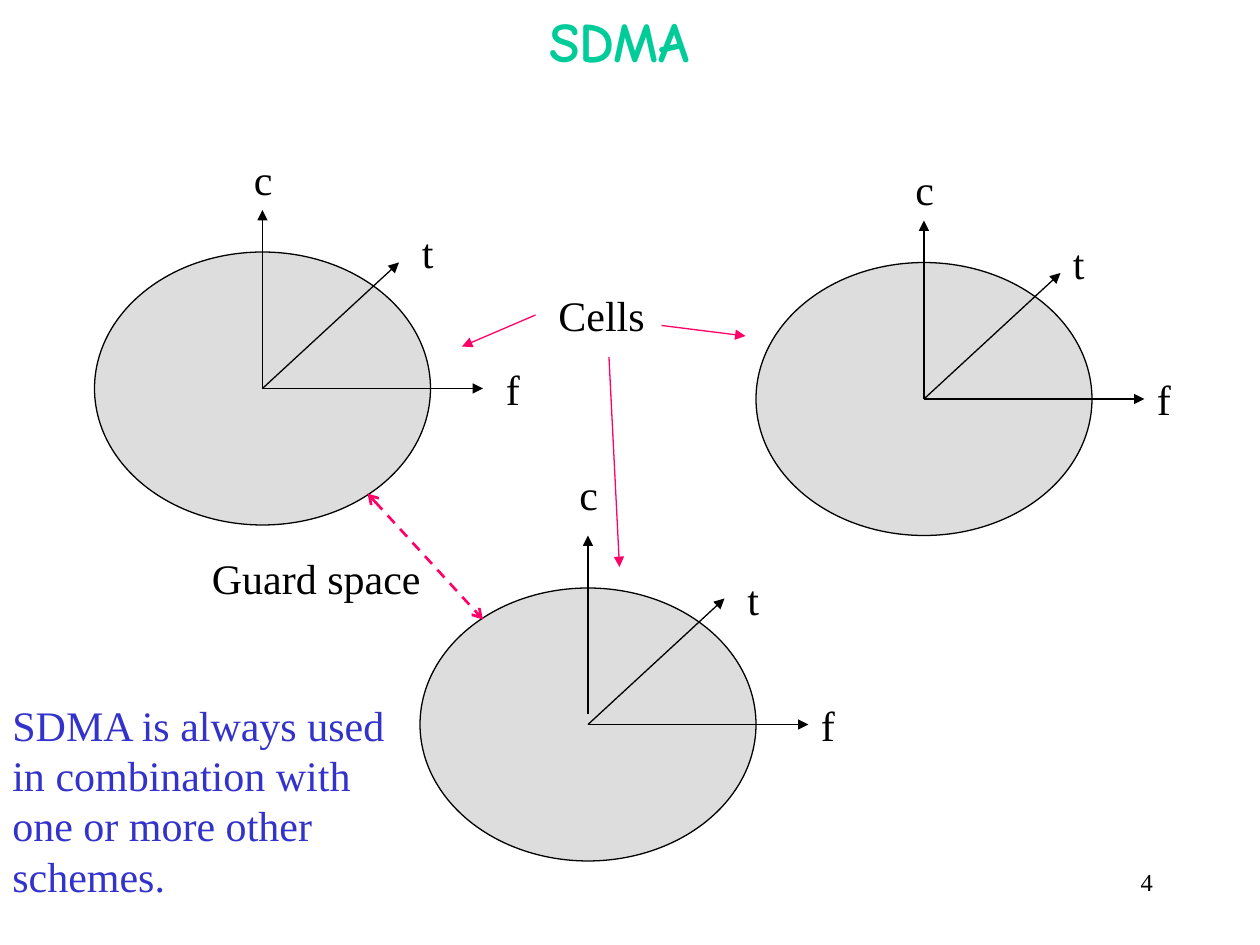
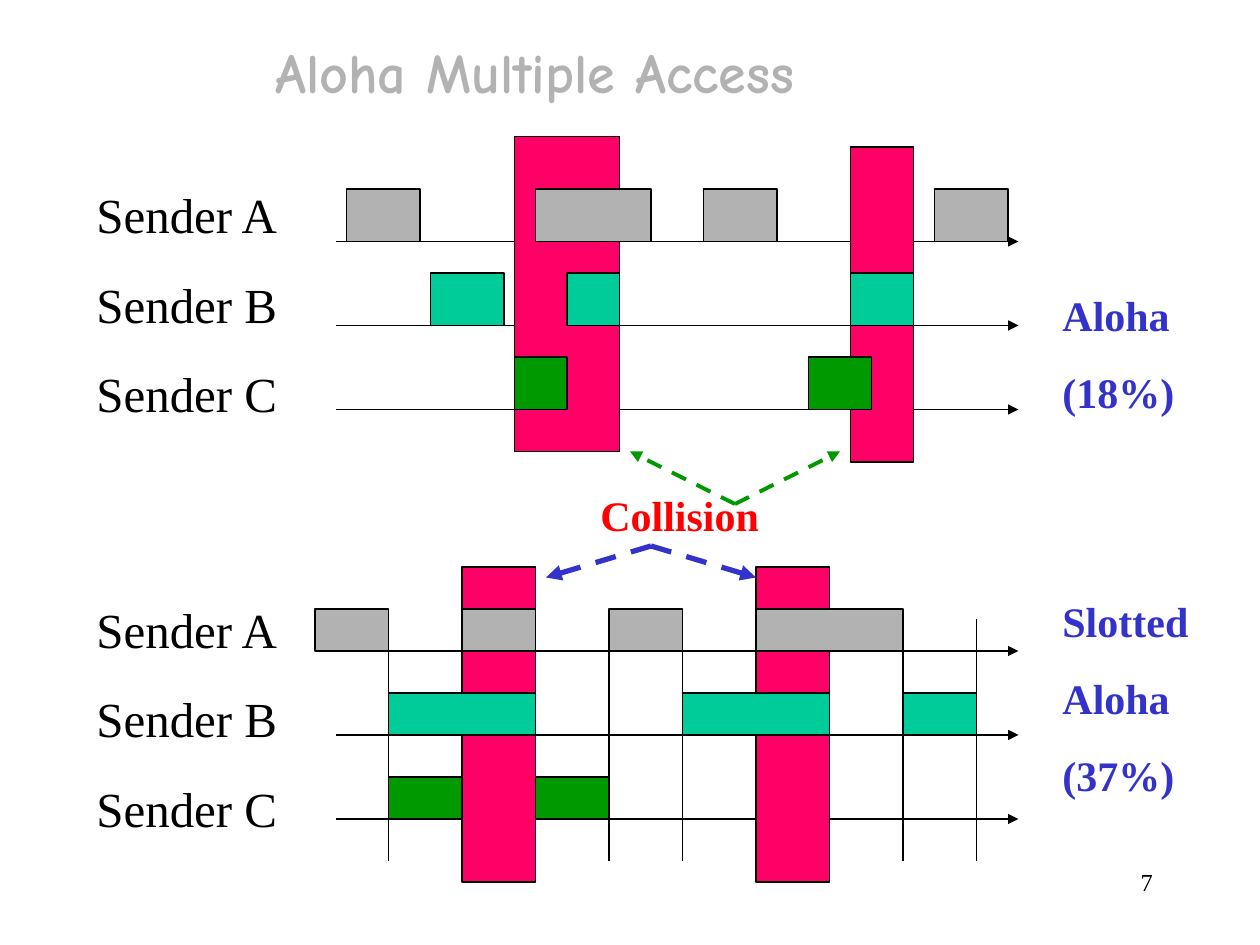
"""Builds two slides on multiple access: SDMA cells, and Aloha against slotted Aloha."""
from pptx import Presentation
from pptx.dml.color import RGBColor
from pptx.enum.dml import MSO_LINE
from pptx.enum.shapes import MSO_CONNECTOR, MSO_SHAPE
from pptx.enum.text import MSO_ANCHOR, MSO_AUTO_SIZE, PP_ALIGN
from pptx.oxml.ns import qn
from pptx.util import Pt
from lxml.etree import SubElement

BLACK, PINK, BLUE, RED = "000000", "FF0066", "3333CC", "FF0000"
GREY, TEAL, GREEN, CELL_GREY = "B2B2B2", "00CC99", "009900", "DDDDDD"
SERIF, COMIC = "Times New Roman", "Comic Neue"
rgb = RGBColor.from_string


def write(s, box, text, size=24, colour=BLACK, bold=False, align=PP_ALIGN.LEFT,
          font=SERIF, gap=0, sp=None):
    """Put text in the given placeholder, or in a new text box."""
    sp = sp or s.shapes.add_textbox(0, 0, 0, 0)
    sp.left, sp.top, sp.width, sp.height = map(Pt, box)
    tf = sp.text_frame
    tf.text = text
    tf.word_wrap = True
    tf.auto_size = MSO_AUTO_SIZE.NONE
    tf.vertical_anchor = MSO_ANCHOR.TOP
    for i, p in enumerate(tf.paragraphs):
        p.alignment = align
        p.space_before = Pt(gap if i else 0)
        for r in p.runs:
            r.font.name, r.font.size, r.font.bold = font, Pt(size), bold
            r.font.color.rgb = rgb(colour)


def draw_line(s, x1, y1, x2, y2, colour=BLACK, width=0.75, dash=False, head=None, tail="triangle"):
    """Draw a straight line with optional arrowheads."""
    cx = s.shapes.add_connector(MSO_CONNECTOR.STRAIGHT, Pt(x1), Pt(y1), Pt(x2), Pt(y2))
    cx.line.color.rgb = rgb(colour)
    cx.line.width = Pt(width)
    if dash:
        cx.line.dash_style = MSO_LINE.DASH
    ln = cx.line._get_or_add_ln()
    for tag, kind in (("a:headEnd", head), ("a:tailEnd", tail)):
        if kind:
            SubElement(ln, qn(tag), type=kind)
    SubElement(cx._element.spPr, qn("a:effectLst"))


prs = Presentation()
prs.slide_width, prs.slide_height = Pt(720), Pt(540)
slides = []
for title, box, colour, align, number in (
    ("SDMA", (96, 0, 516, 46), TEAL, PP_ALIGN.CENTER, "4"),
    ("Aloha Multiple Access", (150, 18, 444, 46), GREY, PP_ALIGN.LEFT, "7"),
):
    s = prs.slides.add_slide(prs.slide_layouts[5])
    write(s, box, title, 32, colour, True, align, COMIC, sp=s.shapes.title)
    write(s, (516, 492, 150, 36), number, 14, align=PP_ALIGN.RIGHT)
    slides.append(s)
sdma, aloha = slides

cells = (
    (150, 222, 0, {"c": (-12, -138), "t": (84, -96), "f": (132, -18)}),
    (336, 414, -6, {"c": (-12, -150), "t": (84, -90), "f": (126, -18)}),
    (528, 228, 0, {"c": (-12, -138), "t": (78, -96), "f": (126, -18)}),
)
for x, y, lift, labels in cells:
    sp = sdma.shapes.add_shape(MSO_SHAPE.OVAL, Pt(x - 96), Pt(y - 78), Pt(192), Pt(156))
    sp.shadow.inherit = False
    sp.fill.solid()
    sp.fill.fore_color.rgb = rgb(CELL_GREY)
    sp.line.color.rgb = rgb(BLACK)
    sp.line.width = Pt(0.75)
    draw_line(sdma, x, y, x + 126, y)
    draw_line(sdma, x, y + lift, x, y + lift - 102)
    draw_line(sdma, x, y, x + 78, y - 72)
    for label, (dx, dy) in labels.items():
        write(sdma, (x + dx, y + dy, 30, 36), label)

draw_line(sdma, 210, 282, 276, 354, PINK, 1.5, dash=True, head="arrow", tail="arrow")
write(sdma, (114, 312, 138, 36), "Guard space")
write(sdma, (0, 396, 246, 122),
      "SDMA is always used in combination with one or more other schemes.", colour=BLUE)
write(sdma, (312, 162, 84, 36), "Cells")
for ends in ((306, 180, 264, 198), (348, 204, 354, 324), (378, 186, 426, 192)):
    draw_line(sdma, *ends, PINK)

SLOT, SLOT_LEFT, ROW_GAP = 42, 180, 48
FREE_AXIS, SLOTTED_AXIS = 138, 372
for top_axis in (FREE_AXIS, SLOTTED_AXIS):
    for row in range(3):
        y = top_axis + row * ROW_GAP
        draw_line(aloha, 192, y, 582, y)
for i in range(1, 10):
    x = SLOT_LEFT + i * SLOT
    draw_line(aloha, x, 354, x, 492, tail=None)

free_packets = (
    (GREY, ((198, 42), (306, 66), (402, 42), (534, 42))),
    (TEAL, ((246, 42), (324, 30), (486, 36))),
    (GREEN, ((294, 30), (462, 36))),
)
slotted_packets = (
    (GREY, ((0, 1), (2, 1), (4, 1), (6, 2))),
    (TEAL, ((1, 2), (5, 2), (8, 1))),
    (GREEN, ((1, 1), (3, 1))),
)
boxes = [(PINK, 294, 78, 60, 180), (PINK, 486, 84, 36, 180)]
boxes += [(PINK, SLOT_LEFT + i * SLOT, 324, SLOT, 180) for i in (2, 6)]
for row, (colour, packets) in enumerate(free_packets):
    boxes += [(colour, x, FREE_AXIS + row * ROW_GAP - 30, w, 30) for x, w in packets]
for row, (colour, packets) in enumerate(slotted_packets):
    boxes += [(colour, SLOT_LEFT + i * SLOT, SLOTTED_AXIS + row * ROW_GAP - 24, n * SLOT, 24)
              for i, n in packets]
for colour, *box in boxes:
    sp = aloha.shapes.add_shape(MSO_SHAPE.RECTANGLE, *map(Pt, box))
    sp.shadow.inherit = False
    sp.fill.solid()
    sp.fill.fore_color.rgb = rgb(colour)
    sp.line.color.rgb = rgb(BLACK)
    sp.line.width = Pt(0.75)

write(aloha, (336, 276, 114, 36), "Collision", colour=RED, bold=True)
for x in (312, 432):
    draw_line(aloha, 372, 312, x, 330, BLUE, 3, dash=True)
for x in (480, 360):
    draw_line(aloha, 420, 288, x, 258, GREEN, 2.25, dash=True)

for y in (102, 339):
    write(aloha, (48, y, 126, 144), "Sender A\nSender B\nSender C", 28, gap=17.5)
for y, text in ((162, "Aloha\n(18%)"), (337, "Slotted\nAloha\n(37%)")):
    write(aloha, (600, y, 96, 124), text, colour=BLUE, bold=True, gap=15)

prs.save("out.pptx")
